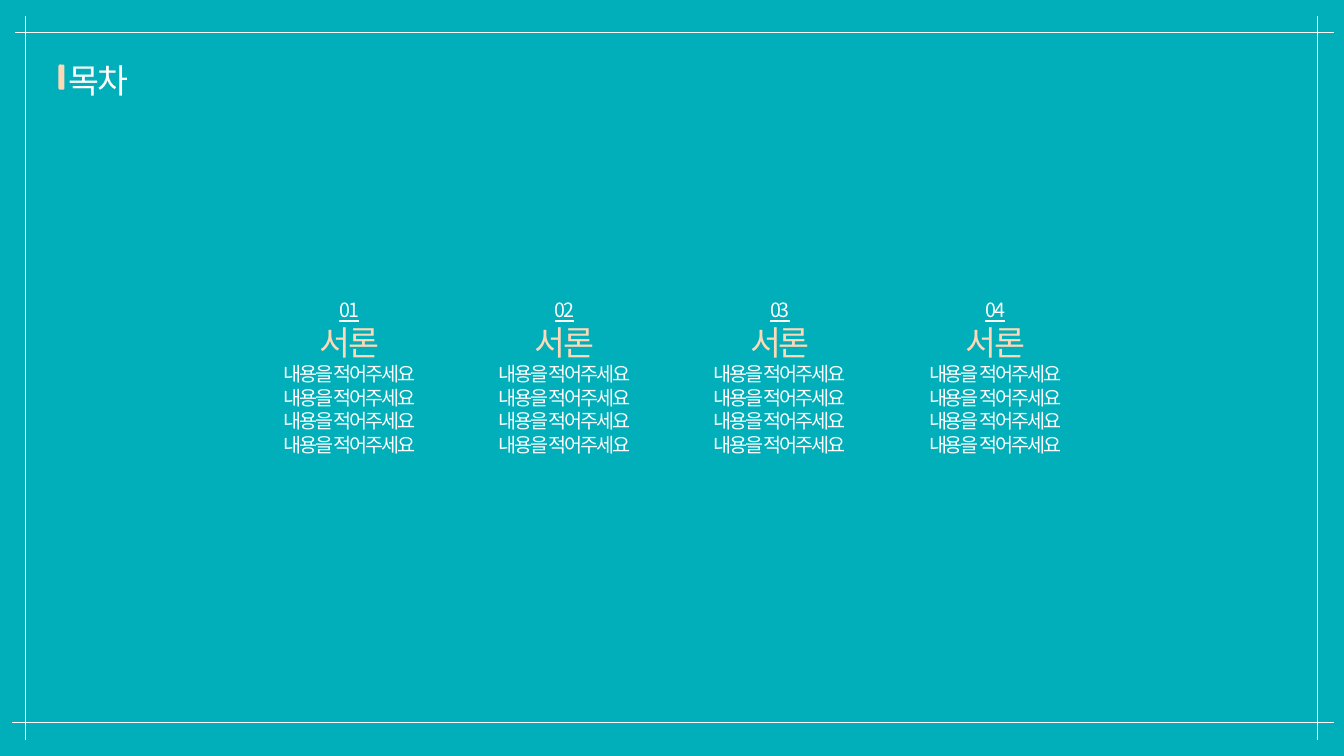
from dataclasses import dataclass

from lxml import etree
from pptx import Presentation
from pptx.dml.color import RGBColor
from pptx.enum import shapes, text
from pptx.oxml import ns
from pptx.util import Inches, Pt

TITLE = "목차"
BODY_LINES = ["내용을 적어주세요"] * 4
SECTIONS = [("01", "서론"), ("02", "서론"), ("03", "서론"), ("04", "서론")]

# Frame lines: start x, start y, end x, end y
FRAME = [
    (0.15, 0.32, 13.23, 0.32),
    (0.12, 7.17, 13.23, 7.17),
    (0.25, 0.16, 0.25, 7.34),
    (13.07, 0.16, 13.07, 7.34),
]
SECTION_LEFT, SECTION_TOP, SECTION_PITCH = 2.51, 2.91, 2.135
SECTION_WIDTH, SECTION_HEIGHT = 1.91, 1.68


@dataclass(frozen=True)
class Theme:
    background: RGBColor = RGBColor.from_string("00AFB9")
    light: RGBColor = RGBColor.from_string("FFFFFF")
    accent: RGBColor = RGBColor.from_string("FED9B7")
    font: str = "Noto Sans CJK KR"
    heading: float = 24
    body: float = 14
    tracking: float = -1.5
    rule: float = 0.75


THEME = Theme()


def write(paragraph, content, size=THEME.body, color=THEME.light,
          underline=False, align=text.PP_ALIGN.CENTER):
    paragraph.alignment = align
    run = paragraph.add_run()
    run.text = content
    font = run.font
    font.size = Pt(size)
    font.color.rgb = color
    font.underline = underline
    font.bold = False
    font.name = THEME.font
    properties = run._r.get_or_add_rPr()
    properties.set("spc", str(round(THEME.tracking * 100)))
    etree.SubElement(properties, ns.qn("a:ea")).set("typeface", THEME.font)


def prepare(frame):
    frame.word_wrap = True
    frame.auto_size = text.MSO_AUTO_SIZE.SHAPE_TO_FIT_TEXT
    frame.vertical_anchor = text.MSO_ANCHOR.TOP


def add_title(slide):
    title = slide.shapes.title
    title.left, title.top = Inches(0.58), Inches(0.54)
    title.width, title.height = Inches(0.82), Inches(0.5)
    prepare(title.text_frame)
    write(title.text_frame.paragraphs[0], TITLE, size=THEME.heading,
          align=text.PP_ALIGN.LEFT)


def add_section(slide, index, number, heading):
    box = slide.shapes.add_textbox(
        Inches(SECTION_LEFT + index * SECTION_PITCH), Inches(SECTION_TOP),
        Inches(SECTION_WIDTH), Inches(SECTION_HEIGHT))
    frame = box.text_frame
    prepare(frame)
    write(frame.paragraphs[0], number, underline=True)
    write(frame.add_paragraph(), heading, size=THEME.heading, color=THEME.accent)
    for line in BODY_LINES:
        write(frame.add_paragraph(), line)


def add_frame_line(slide, ends):
    rule = slide.shapes.add_connector(
        shapes.MSO_CONNECTOR.STRAIGHT, *(Inches(value) for value in ends))
    rule.line.color.rgb = THEME.light
    rule.line.width = Pt(THEME.rule)
    etree.SubElement(rule._element.spPr, ns.qn("a:effectLst"))


def add_title_marker(slide):
    marker = slide.shapes.add_shape(
        shapes.MSO_SHAPE.ROUNDED_RECTANGLE,
        Inches(0.58), Inches(0.64), Inches(0.06), Inches(0.25))
    marker.adjustments[0] = 0.28
    marker.shadow.inherit = False
    marker.fill.solid()
    marker.fill.fore_color.rgb = THEME.accent
    marker.line.fill.background()


def main():
    deck = Presentation()
    deck.slide_width, deck.slide_height = Inches(13.33), Inches(7.5)
    slide = deck.slides.add_slide(deck.slide_layouts.get_by_name("Title Only"))
    slide.background.fill.solid()
    slide.background.fill.fore_color.rgb = THEME.background

    add_title(slide)
    for index, (number, heading) in enumerate(SECTIONS):
        add_section(slide, index, number, heading)
    for ends in FRAME:
        add_frame_line(slide, ends)
    add_title_marker(slide)
    deck.save("out.pptx")


if __name__ == "__main__":
    main()
